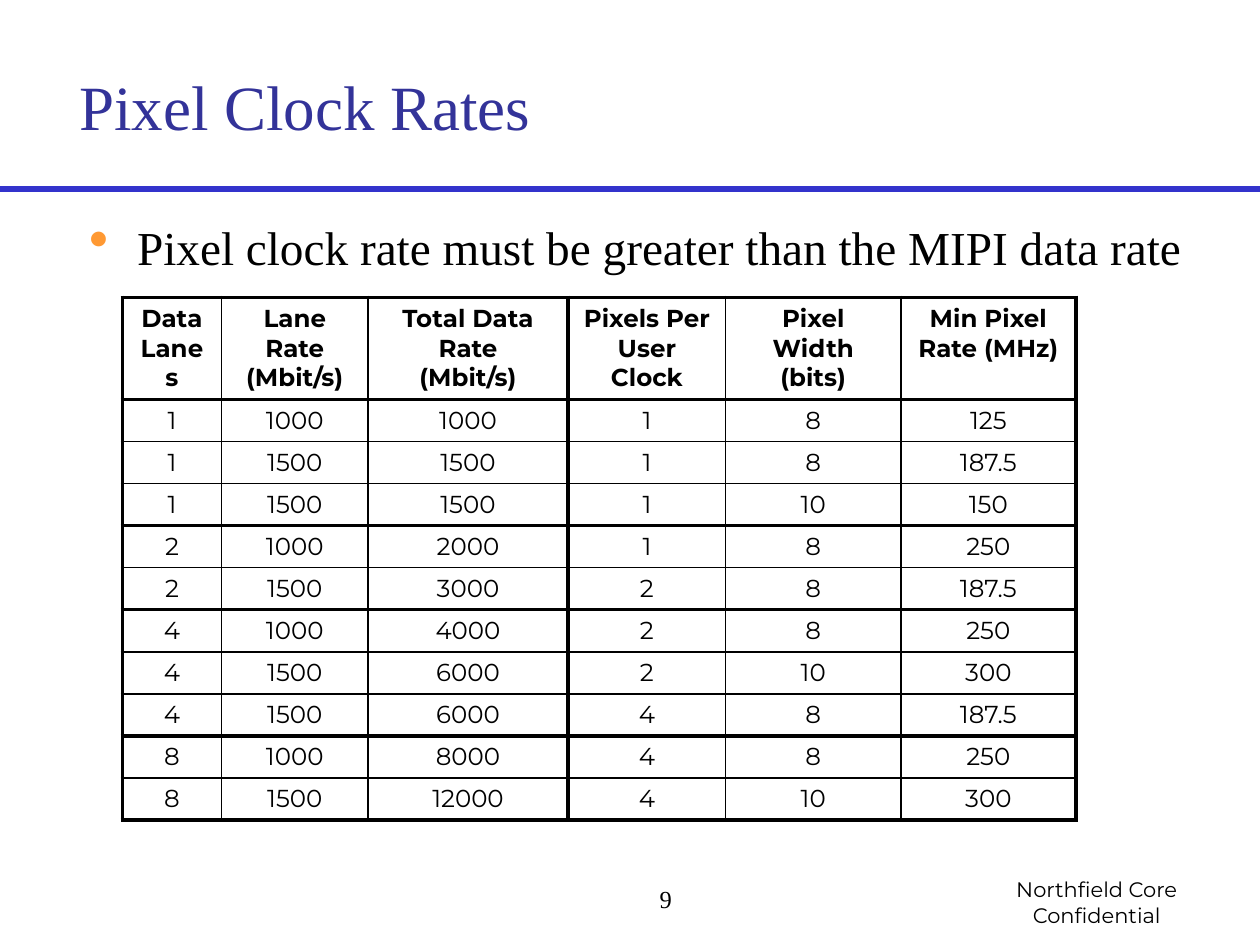
from dataclasses import dataclass

from lxml.etree import SubElement
from pptx import Presentation
from pptx.dml.color import RGBColor
from pptx.enum.shapes import MSO_CONNECTOR as Connector
from pptx.enum.text import MSO_ANCHOR as Anchor, PP_ALIGN as Align
from pptx.oxml.ns import qn
from pptx.slide import Slide
from pptx.util import Inches, Pt

BLACK = RGBColor(0, 0, 0)
WHITE = RGBColor(0xFF, 0xFF, 0xFF)
TITLE_BLUE = RGBColor(0x33, 0x33, 0x99)
RULE_BLUE = RGBColor(0x33, 0x33, 0xCC)
ORANGE = RGBColor(0xFF, 0x99, 0x33)

HEADERS = ["Data\nLanes", "Lane Rate\n(Mbit/s)", "Total Data Rate\n(Mbit/s)",
           "Pixels Per User Clock", "Pixel Width\n(bits)", "Min Pixel Rate (MHz)"]
RATES = [
    (1, 1000, 1000, 1, 8, 125),
    (1, 1500, 1500, 1, 8, 187.5),
    (1, 1500, 1500, 1, 10, 150),
    (2, 1000, 2000, 1, 8, 250),
    (2, 1500, 3000, 2, 8, 187.5),
    (4, 1000, 4000, 2, 8, 250),
    (4, 1500, 6000, 2, 10, 300),
    (4, 1500, 6000, 4, 8, 187.5),
    (8, 1000, 8000, 4, 8, 250),
    (8, 1500, 12000, 4, 10, 300),
]
COLUMN_WIDTHS = [0.79, 1.16, 1.59, 1.25, 1.39, 1.39]
ROW_HEIGHTS = [0.81] + [0.33] * len(RATES)
COLUMN_RULES = [2.25, 1, 1, 2.25, 1, 1, 2.25]
ROW_RULES = [2.25, 2.25, 1, 1, 2.25, 1, 2.25, 1, 1, 3, 1, 2.25]


@dataclass
class SlideBuilder:
    slide: Slide
    serif: str = "Times New Roman"
    sans: str = "Montserrat"

    def set_text(self, frame, text, size, font, color=BLACK, align=Align.LEFT, bold=False):
        frame.word_wrap = True
        frame.text = text
        for paragraph in frame.paragraphs:
            paragraph.alignment = align
            paragraph.font.size = Pt(size)
            paragraph.font.name = font
            paragraph.font.bold = bold
            paragraph.font.color.rgb = color

    def text(self, box, text, size, font, anchor=Anchor.TOP, **style):
        shape = self.slide.shapes.add_textbox(*map(Inches, box))
        shape.text_frame.vertical_anchor = anchor
        self.set_text(shape.text_frame, text, size, font, **style)
        return shape

    def bullet(self, box, text, size):
        shape = self.text(box, text, size, self.serif)
        properties = shape.text_frame.paragraphs[0]._p.get_or_add_pPr()
        properties.set("marL", str(Inches(0.38)))
        properties.set("indent", str(Inches(-0.38)))
        color = SubElement(properties, qn("a:buClr"))
        SubElement(color, qn("a:srgbClr"), val=str(ORANGE))
        SubElement(properties, qn("a:buSzPct"), val="120000")
        SubElement(properties, qn("a:buChar"), char="•")
        default_font = properties.find(qn("a:defRPr"))
        if default_font is not None:
            properties.append(default_font)

    def rule(self, y, width, color):
        line = self.slide.shapes.add_connector(
            Connector.STRAIGHT, Inches(0), Inches(y), Inches(10), Inches(y))
        line.line.color.rgb = color
        line.line.width = Pt(width)
        SubElement(line._element.spPr, qn("a:effectLst"))

    def borders(self, cell, widths):
        properties = cell._tc.get_or_add_tcPr()
        for side, width in zip(("lnL", "lnR", "lnT", "lnB"), widths):
            line = SubElement(properties, qn(f"a:{side}"), w=str(Pt(width)))
            fill = SubElement(line, qn("a:solidFill"))
            SubElement(fill, qn("a:srgbClr"), val=str(BLACK))

    def table(self, left, top, rows):
        frame = self.slide.shapes.add_table(
            len(rows), len(COLUMN_WIDTHS), Inches(left), Inches(top),
            Inches(sum(COLUMN_WIDTHS)), Inches(sum(ROW_HEIGHTS)))
        table = frame.table
        for column, width in zip(table.columns, COLUMN_WIDTHS):
            column.width = Inches(width)
        for row, height in zip(table.rows, ROW_HEIGHTS):
            row.height = Inches(height)
        for r, values in enumerate(rows):
            for c, value in enumerate(values):
                cell = table.cell(r, c)
                self.set_text(cell.text_frame, str(value), 14, self.sans,
                              align=Align.CENTER, bold=r == 0)
                self.borders(cell, COLUMN_RULES[c:c + 2] + ROW_RULES[r:r + 2])
                cell.fill.solid()
                cell.fill.fore_color.rgb = WHITE


presentation = Presentation()
presentation.slide_width = Inches(10)
presentation.slide_height = Inches(7.5)
builder = SlideBuilder(presentation.slides.add_slide(presentation.slide_layouts[6]))

builder.rule(1.5, 4, RULE_BLUE)
builder.text((7.83, 6.91, 1.75, 0.51), "Northfield Core\nConfidential", 12,
             builder.sans, align=Align.CENTER)
builder.text((0.53, 0.23, 9.09, 1.21), "Pixel Clock Rates", 36, builder.serif,
             anchor=Anchor.MIDDLE, color=TITLE_BLUE)
builder.bullet((0.61, 1.68, 9.09, 1.12),
               "Pixel clock rate must be greater than the MIPI data rate", 27)
builder.text((4.98, 6.97, 0.45, 0.35), "9", 14, builder.serif, align=Align.RIGHT)
builder.table(0.97, 2.36, [HEADERS, *RATES])

presentation.save("out.pptx")
